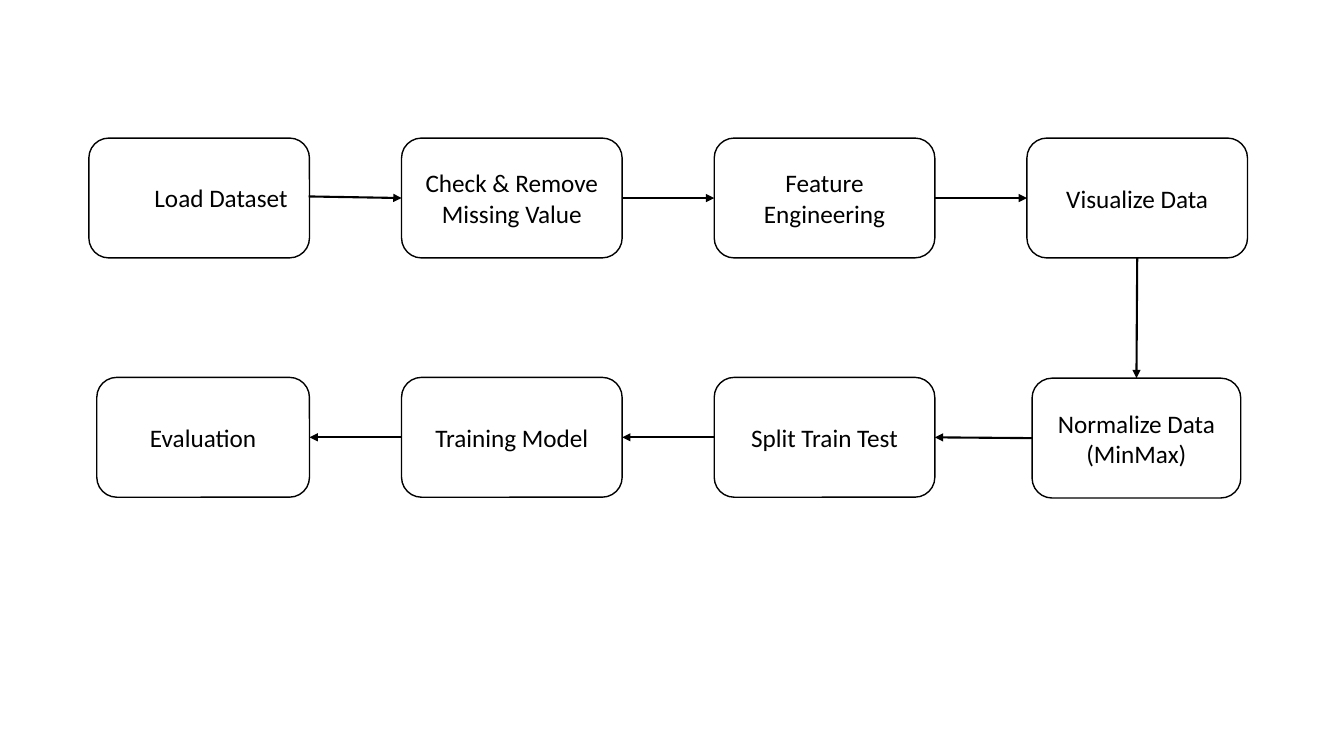
from itertools import pairwise

from lxml.etree import SubElement
from pptx import Presentation
from pptx.dml.color import RGBColor
from pptx.enum.shapes import MSO_CONNECTOR, MSO_SHAPE
from pptx.enum.text import MSO_ANCHOR, MSO_AUTO_SIZE, PP_ALIGN
from pptx.oxml.ns import qn
from pptx.util import Cm, Pt

COLORS = {"ink": "000000", "paper": "FFFFFF"}
TOP, LEFT, BOTTOM, RIGHT = range(4)
FIRST_LEFT, COLUMN_STEP = 2.24, 7.88
STEP_WIDTH, STEP_HEIGHT = 5.56, 3.02
UPPER_TOP, LOWER_TOP = 3.48, 9.51


class FlowPage:
    font_name = "Calibri"
    font_size = Pt(18)
    outline = Pt(1)
    arrow_width = Pt(1.5)

    def __init__(self, deck):
        self.page = deck.slides.add_slide(deck.slide_layouts[6])

    def color(self, name):
        return RGBColor.from_string(COLORS[name])

    def set_text(self, frame, text):
        frame.word_wrap = True
        frame.text = text
        for paragraph in frame.paragraphs:
            paragraph.alignment = PP_ALIGN.CENTER
            paragraph.font.name = self.font_name
            paragraph.font.size = self.font_size
            paragraph.font.color.rgb = self.color("ink")

    def step(self, text, left, top, width=STEP_WIDTH):
        box = self.page.shapes.add_shape(
            MSO_SHAPE.ROUNDED_RECTANGLE, Cm(left), Cm(top), Cm(width), Cm(STEP_HEIGHT)
        )
        box.shadow.inherit = False
        box.fill.solid()
        box.fill.fore_color.rgb = self.color("paper")
        box.line.color.rgb = self.color("ink")
        box.line.width = self.outline
        if text:
            box.text_frame.vertical_anchor = MSO_ANCHOR.MIDDLE
            self.set_text(box.text_frame, text)
        return box

    def label(self, text, left, top, width, height):
        box = self.page.shapes.add_textbox(Cm(left), Cm(top), Cm(width), Cm(height))
        self.set_text(box.text_frame, text)
        box.text_frame.auto_size = MSO_AUTO_SIZE.SHAPE_TO_FIT_TEXT

    def arrow(self, target, target_side, source=None, source_side=None, start=(0, 0)):
        x, y = start
        arrow = self.page.shapes.add_connector(
            MSO_CONNECTOR.STRAIGHT, Cm(x), Cm(y), Cm(x), Cm(y)
        )
        if source is not None:
            arrow.begin_connect(source, source_side)
        arrow.end_connect(target, target_side)
        arrow.line.color.rgb = self.color("ink")
        arrow.line.width = self.arrow_width
        properties = arrow._element.spPr
        SubElement(properties.get_or_add_ln(), qn("a:tailEnd"), type="triangle")
        SubElement(properties, qn("a:effectLst"))


def main():
    deck = Presentation()
    deck.slide_width, deck.slide_height = Cm(33.87), Cm(19.05)
    flow = FlowPage(deck)
    columns = [FIRST_LEFT + COLUMN_STEP * index for index in range(4)]

    upper_texts = ["", "Check & Remove Missing Value", "Feature Engineering", "Visualize Data"]
    upper = [flow.step(text, left, UPPER_TOP) for text, left in zip(upper_texts, columns)]
    flow.label("Load Dataset", 2.79, 4.47, STEP_WIDTH, 1.02)

    lower = [
        flow.step("Normalize Data\n(MinMax)", 26.01, 9.53, 5.26),
        flow.step("Split Train Test", columns[2], LOWER_TOP),
        flow.step("Training Model", columns[1], LOWER_TOP),
        flow.step("Evaluation", 2.44, LOWER_TOP, 5.36),
    ]

    flow.arrow(upper[1], LEFT, start=(7.78, 4.95))
    for source, target in pairwise(upper[1:]):
        flow.arrow(target, LEFT, source, RIGHT)
    flow.arrow(lower[0], TOP, upper[-1], BOTTOM)
    for source, target in pairwise(lower):
        flow.arrow(target, RIGHT, source, LEFT)

    deck.save("out.pptx")


if __name__ == "__main__":
    main()
